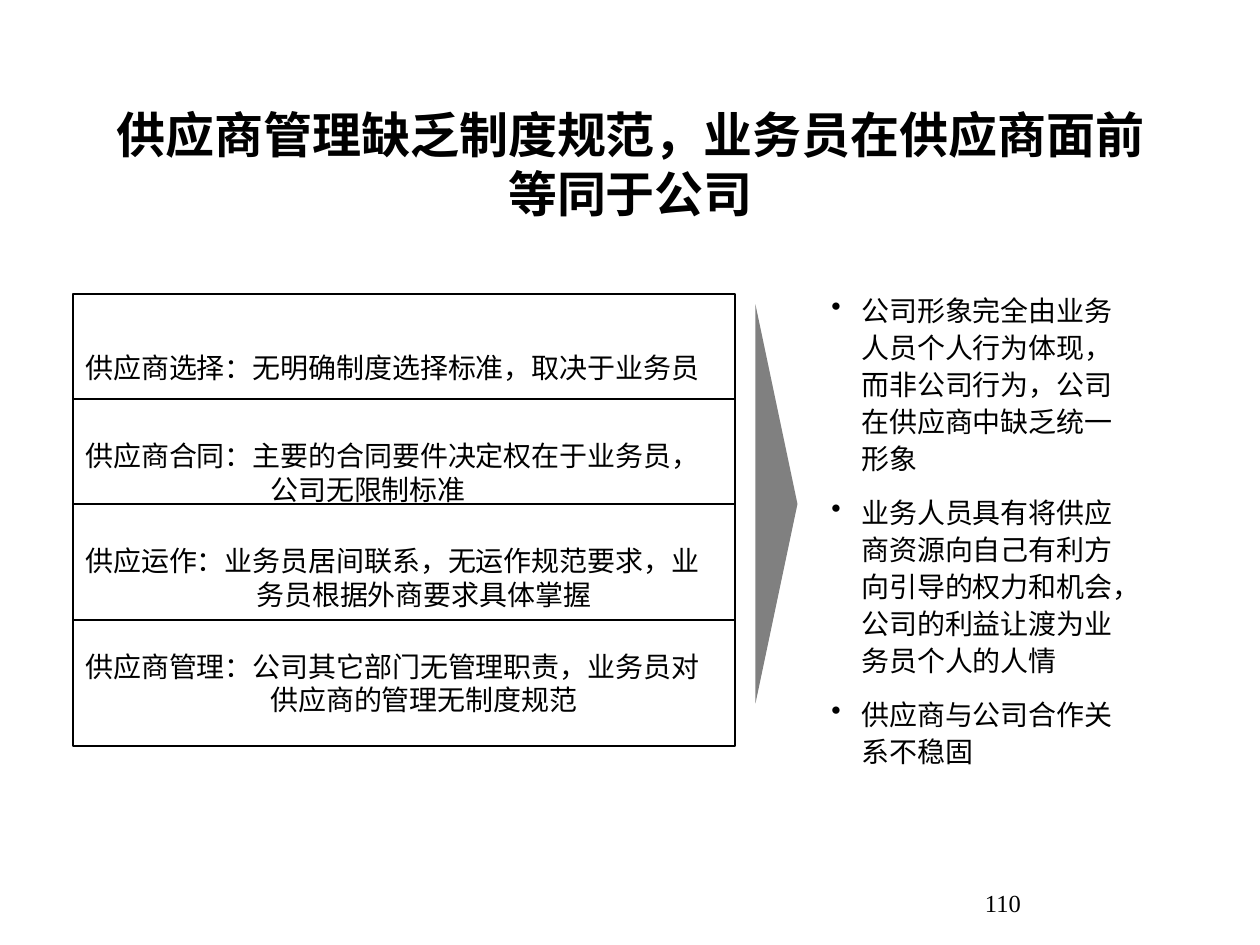
import pptx
import pptx.util
import pptx.dml.color
import pptx.enum.shapes
import pptx.enum.text
import pptx.oxml
import pptx.oxml.ns

PX = 914400 // 126
BLACK = pptx.dml.color.RGBColor(0x00, 0x00, 0x00)
WHITE = pptx.dml.color.RGBColor(0xFF, 0xFF, 0xFF)
GRAY = pptx.dml.color.RGBColor(0x80, 0x80, 0x80)
FONT = "Times New Roman"
SHAPES = pptx.enum.shapes.MSO_SHAPE
LEFT = pptx.enum.text.PP_ALIGN.LEFT
CENTER = pptx.enum.text.PP_ALIGN.CENTER
TOP = pptx.enum.text.MSO_ANCHOR.TOP
MIDDLE = pptx.enum.text.MSO_ANCHOR.MIDDLE

TITLE = "供应商管理缺乏制度规范，业务员在供应商面前等同于公司"
# top, height, hanging indent, text
PROBLEMS = [
    (294, 147, 185, "供应商选择：无明确制度选择标准，取决于业务员"),
    (399, 147, 185, "供应商合同：主要的合同要件决定权在于业务员，公司无限制标准"),
    (504, 147, 171, "供应运作：业务员居间联系，无运作规范要求，业务员根据外商要求具体掌握"),
    (620, 126, 185, "供应商管理：公司其它部门无管理职责，业务员对供应商的管理无制度规范"),
]
RESULTS = [
    "公司形象完全由业务人员个人行为体现，而非公司行为，公司在供应商中缺乏统一形象",
    "业务人员具有将供应商资源向自己有利方向引导的权力和机会，公司的利益让渡为业务员个人的人情",
    "供应商与公司合作关系不稳固",
]
PAGE_NUMBER = "110"


def scaled(*lengths):
    return [length * PX for length in lengths]


def hang(para, indent):
    """Indent every line of the paragraph except the first."""
    properties = para._p.get_or_add_pPr()
    properties.set("marL", str(indent * PX))
    properties.set("indent", str(-indent * PX))


def add_bullet(para):
    namespace = pptx.oxml.ns.nsdecls("a")
    properties = para._p.get_or_add_pPr()
    for xml in (
        f'<a:buClr {namespace}><a:srgbClr val="{BLACK}"/></a:buClr>',
        f'<a:buChar {namespace} char="•"/>',
    ):
        properties.append(pptx.oxml.parse_xml(xml))


def write(box, text, size, align, anchor, bold=False):
    frame = box.text_frame
    frame.text = text
    frame.word_wrap = True
    frame.vertical_anchor = anchor
    for para in frame.paragraphs:
        para.alignment = align
        for span in para.runs:
            span.font.name = FONT
            span.font.size = pptx.util.Pt(size)
            span.font.bold = bold
            span.font.color.rgb = BLACK
    return frame


def add_plain_shape(page, kind, bounds, fill):
    shape = page.shapes.add_shape(kind, *scaled(*bounds))
    shape.shadow.inherit = False
    shape.fill.solid()
    shape.fill.fore_color.rgb = fill
    return shape


def add_problem(page, top, height, indent, text):
    box = add_plain_shape(page, SHAPES.RECTANGLE, (73, top, 662, height), WHITE)
    box.line.color.rgb = BLACK
    box.line.width = pptx.util.Pt(0.75)
    frame = write(box, text, 16, LEFT, MIDDLE)
    hang(frame.paragraphs[0], indent)


def add_results(page):
    box = page.shapes.add_textbox(*scaled(819, 284, 325, 454))
    frame = write(box, "\n".join(RESULTS), 16, LEFT, TOP)
    frame.auto_size = pptx.enum.text.MSO_AUTO_SIZE.SHAPE_TO_FIT_TEXT
    for number, para in enumerate(frame.paragraphs):
        hang(para, 30)
        add_bullet(para)
        para.line_spacing = 1.1
        if number:
            para.space_before = pptx.util.Pt(10)


def main():
    deck = pptx.Presentation()
    deck.slide_width, deck.slide_height = scaled(1260, 945)
    page = deck.slides.add_slide(deck.slide_layouts[6])

    title = page.shapes.add_textbox(*scaled(95, 84, 1071, 158))
    write(title, TITLE, 28, CENTER, MIDDLE, bold=True)

    for problem in PROBLEMS:
        add_problem(page, *problem)

    pointer = add_plain_shape(page, SHAPES.ISOSCELES_TRIANGLE, (577, 483, 399, 42), GRAY)
    pointer.line.fill.background()
    pointer.rotation = 90

    add_results(page)

    number_box = page.shapes.add_textbox(*scaled(809, 882, 388, 32))
    write(number_box, PAGE_NUMBER, 14, CENTER, TOP)

    deck.save("out.pptx")


if __name__ == "__main__":
    main()
